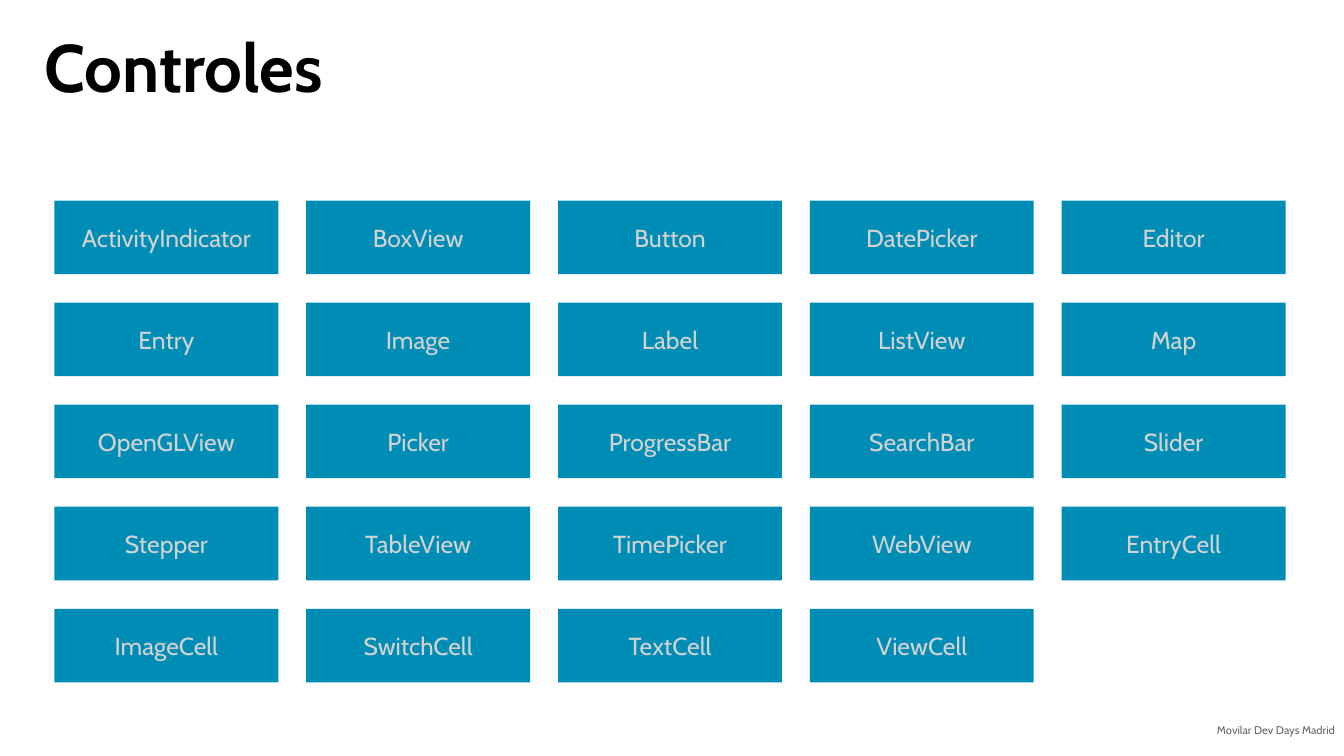
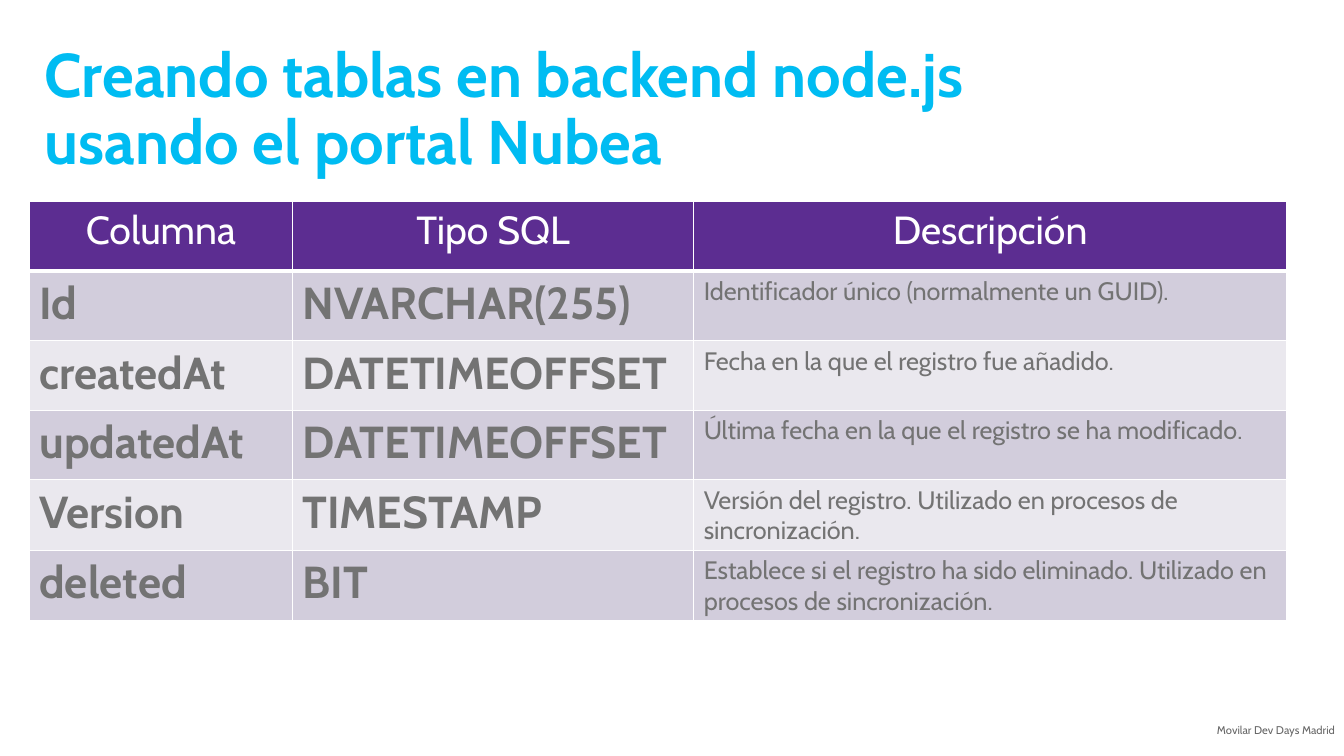
from dataclasses import dataclass
from lxml.etree import SubElement
from pptx import Presentation
from pptx.dml.color import RGBColor as Rgb
from pptx.enum.shapes import MSO_SHAPE as Kind
from pptx.enum.text import MSO_ANCHOR as Anchor, PP_ALIGN as Align
from pptx.oxml.ns import qn
from pptx.util import Inches, Pt


@dataclass(frozen=True)
class Theme:
    font: str = "Cabin"
    black: str = "000000"
    white: str = "FFFFFF"
    cyan: str = "00BCF2"
    teal: str = "008DB5"
    pale: str = "D2D2D2"
    gray: str = "737373"
    dim: str = "666666"
    purple: str = "5C2D91"
    bands: tuple = ("D2CDDC", "EAE8EE")
    big: float = 48
    title: float = 44
    key: float = 32
    head: float = 28
    note: float = 18
    tile: float = 17.6
    foot: float = 8
    thin: float = 1
    thick: float = 3


class Deck:
    def __init__(self, theme):
        self.theme = theme
        self.file = Presentation()
        self.file.slide_width = Inches(13.33)
        self.file.slide_height = Inches(7.5)
        self.slide = None

    def add(self):
        self.slide = self.file.slides.add_slide(self.file.slide_layouts[6])
        self.footer("Movilar Dev Days Madrid")

    def label(self, frame, text, size, color, bold=False, align=Align.LEFT):
        frame.word_wrap = True
        frame.text = text
        para = frame.paragraphs[0]
        para.alignment = align
        font = para.runs[0].font
        font.name = self.theme.font
        font.size = Pt(size)
        font.bold = bold
        font.color.rgb = Rgb.from_string(color)
        return para

    def box(self, left, top, width, height):
        area = map(Inches, (left, top, width, height))
        return self.slide.shapes.add_textbox(*area).text_frame

    def footer(self, text):
        frame = self.box(11.52, 7.13, 1.82, 0.33)
        self.label(frame, text, self.theme.foot, self.theme.dim, align=Align.RIGHT)

    def title(self, text, top, width, height, size, color):
        frame = self.box(0.29, top, width, height)
        frame.margin_left = frame.margin_right = Inches(0.15)
        frame.margin_top = frame.margin_bottom = Inches(0.12)
        self.label(frame, text, size, color, bold=True).line_spacing = 0.9

    def tile(self, text, left, top, width, height):
        area = map(Inches, (left, top, width, height))
        shape = self.slide.shapes.add_shape(Kind.ROUNDED_RECTANGLE, *area)
        shape.adjustments[0] = 0
        shape.shadow.inherit = False
        shape.fill.solid()
        shape.fill.fore_color.rgb = Rgb.from_string(self.theme.teal)
        shape.line.fill.background()
        shape.text_frame.vertical_anchor = Anchor.MIDDLE
        self.label(shape.text_frame, text, self.theme.tile, self.theme.pale,
                   align=Align.CENTER)

    def grid(self, names, cols):
        left, top, width, height = 0.54, 1.99, 2.22, 0.73
        across = (10.53 - left) / 4
        down = (6.04 - top) / 4
        for pos, name in enumerate(names):
            row, col = divmod(pos, cols)
            self.tile(name, left + col * across, top + row * down, width, height)

    def edges(self, cell, row):
        wide = {"lnB": row == 0, "lnT": row == 1}
        for side in ("lnL", "lnR", "lnT", "lnB"):
            size = self.theme.thick if wide.get(side) else self.theme.thin
            line = SubElement(cell._tc.get_or_add_tcPr(), qn(f"a:{side}"), w=str(Pt(size)))
            fill = SubElement(line, qn("a:solidFill"))
            SubElement(fill, qn("a:srgbClr"), val=self.theme.white)

    def table(self, rows, widths, left, top, step):
        look = self.theme
        area = map(Inches, (left, top, sum(widths), step * len(rows)))
        table = self.slide.shapes.add_table(len(rows), len(widths), *area).table
        table.horz_banding = False
        for col, width in zip(table.columns, widths):
            col.width = Inches(width)
        for row, texts in enumerate(rows):
            table.rows[row].height = Inches(step)
            for col, text in enumerate(texts):
                cell = table.cell(row, col)
                self.edges(cell, row)
                cell.fill.solid()
                if row == 0:
                    fill = look.purple
                    style = (look.head, look.white, False, Align.CENTER)
                else:
                    fill = look.bands[(row - 1) % 2]
                    key = col < 2
                    style = (look.key if key else look.note, look.gray, key)
                cell.fill.fore_color.rgb = Rgb.from_string(fill)
                self.label(cell.text_frame, text, *style)


NAMES = (
    "ActivityIndicator", "BoxView", "Button", "DatePicker", "Editor",
    "Entry", "Image", "Label", "ListView", "Map",
    "OpenGLView", "Picker", "ProgressBar", "SearchBar", "Slider",
    "Stepper", "TableView", "TimePicker", "WebView", "EntryCell",
    "ImageCell", "SwitchCell", "TextCell", "ViewCell",
)

ROWS = (
    ("Columna", "Tipo SQL", "Descripción"),
    ("Id", "NVARCHAR(255)", "Identificador único (normalmente un GUID)."),
    ("createdAt", "DATETIMEOFFSET", "Fecha en la que el registro fue añadido."),
    ("updatedAt", "DATETIMEOFFSET",
     "Última fecha en la que el registro se ha modificado."),
    ("Version", "TIMESTAMP",
     "Versión del registro. Utilizado en procesos de sincronización."),
    ("deleted", "BIT",
     "Establece si el registro ha sido eliminado. "
     "Utilizado en procesos de sincronización."),
)


def main():
    theme = Theme()
    deck = Deck(theme)

    deck.add()
    deck.grid(NAMES, 5)
    deck.title("Controles", 0.22, 12.74, 1.07, theme.big, theme.black)

    deck.add()
    deck.title("Creando tablas en backend node.js usando el portal Nubea",
               0.32, 9.55, 1.58, theme.title, theme.cyan)
    deck.table(ROWS, (2.61, 3.98, 5.88), 0.29, 2, 0.69)

    deck.file.save("out.pptx")


if __name__ == "__main__":
    main()
